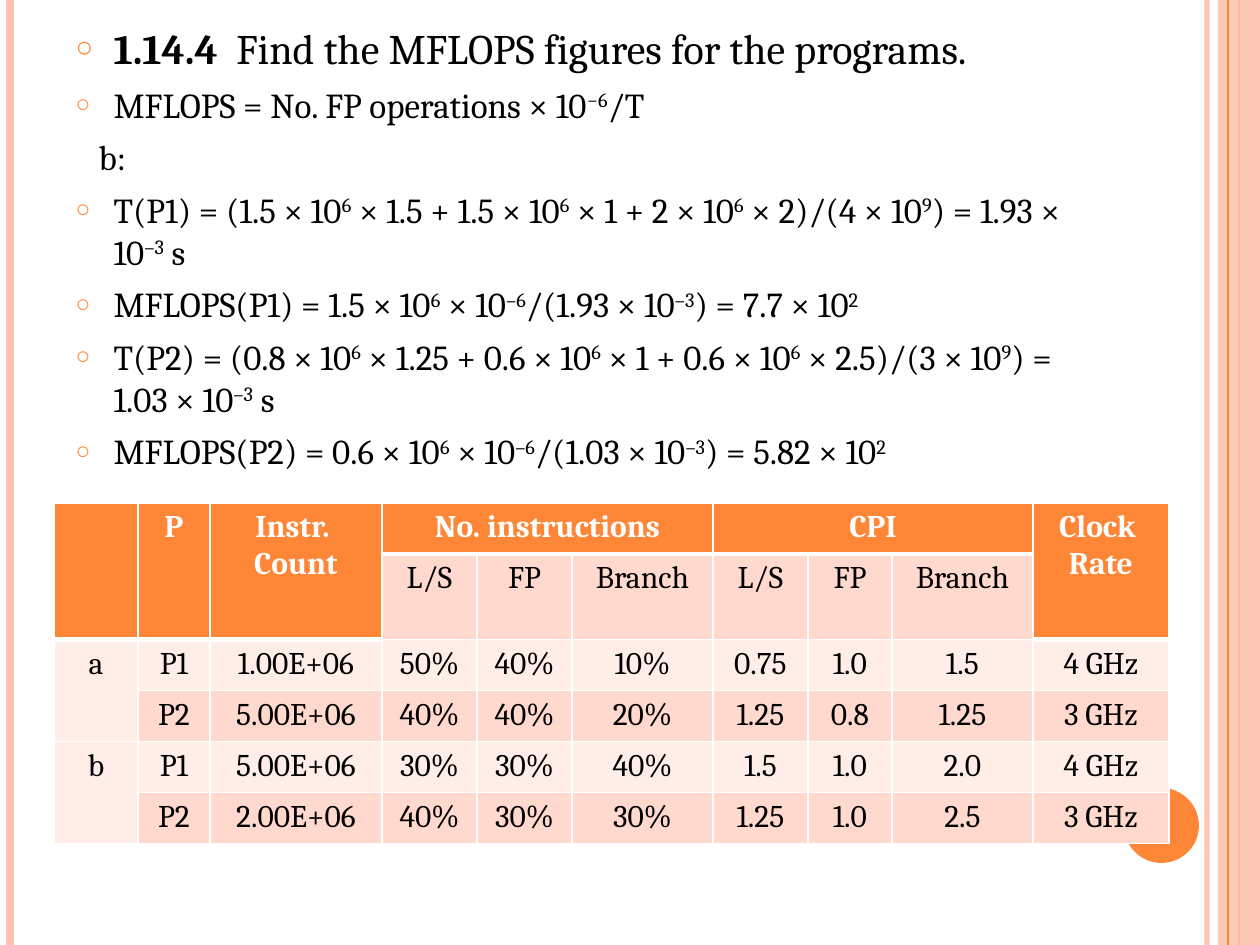
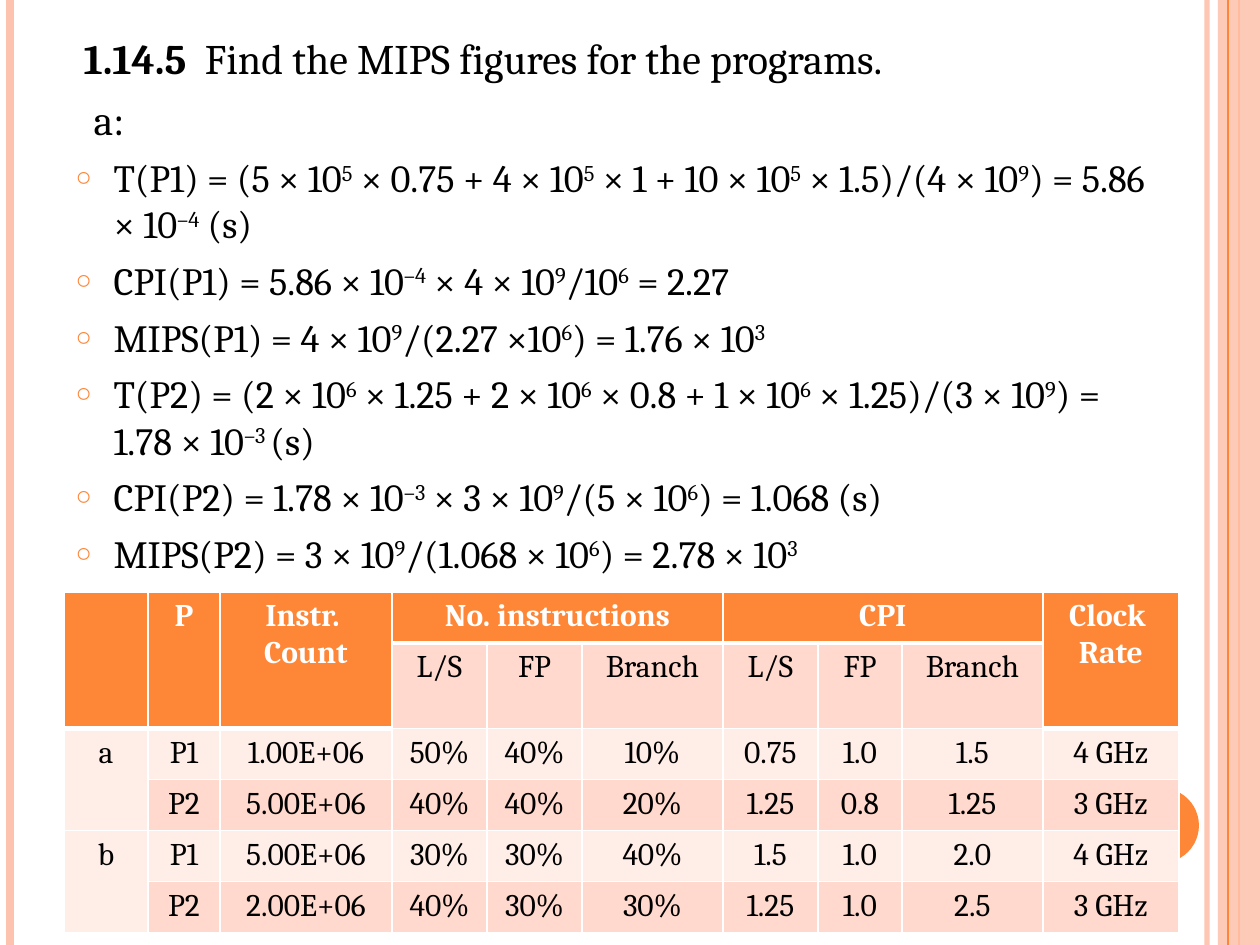
from dataclasses import dataclass

from lxml import etree
from pptx import Presentation
from pptx import util as u
from pptx.dml.color import RGBColor
from pptx.enum import shapes, text
from pptx.oxml import ns

# Shared style
ORANGE = RGBColor(0xFE, 0x86, 0x37)
PEACH = RGBColor(0xFE, 0xC3, 0xAE)
PINK = RGBColor(0xFF, 0xD9, 0xCE)
PALE = RGBColor(0xFF, 0xED, 0xE8)
WHITE = RGBColor(0xFF, 0xFF, 0xFF)
BLACK = RGBColor(0, 0, 0)
FONT = "Cambria"
WIDTH, HEIGHT = 1260, 945
BULLET_INDENT = 38


@dataclass
class Rule:
    """A vertical line over the whole slide height."""
    x: int
    color: RGBColor
    weight: float
    alpha: int = 100


@dataclass
class Para:
    """A paragraph; text between two ^ marks is superscript."""
    text: str
    size: int
    bold_lead: str = ""
    bullet: bool = True
    indent: int = 0


@dataclass
class Page:
    body: tuple[int, int, int, int]
    paras: list[Para]
    table_at: tuple[int, int]


def px(n: float) -> int:
    return round(n * 914400 / 126)


def child(parent, tag: str, **attrs):
    return etree.SubElement(parent, ns.qn(tag), attrs)


def set_alpha(sp, percent: int) -> None:
    clr = next(sp._element.spPr.iter(ns.qn("a:srgbClr")))
    child(clr, "a:alpha", val=str(percent * 1000))


def add_text(p, content: str, *, size: int = 18, bold: bool = False,
             color: RGBColor = BLACK) -> None:
    for i, part in enumerate(content.split("^")):
        if not part:
            continue
        r = p.add_run()
        r.text = part
        r.font.name, r.font.size, r.font.bold = FONT, u.Pt(size), bold
        r.font.color.rgb = color
        if i % 2:
            r._r.get_or_add_rPr().set("baseline", "30000")


# Decoration, kept on the slide master
RULES_BEHIND = [Rule(1207, PEACH, 3, 93), Rule(10, PEACH, 4.5),
                Rule(1239, ORANGE, 1.5)]
RULE_FRONT = Rule(1228, ORANGE, 0.75)


def add_rule(slide, rule: Rule):
    line = slide.shapes.add_connector(shapes.MSO_CONNECTOR.STRAIGHT, px(rule.x), 0,
                                      px(rule.x), px(HEIGHT))
    line.line.color.rgb = rule.color
    line.line.width = u.Pt(rule.weight)
    if rule.alpha < 100:
        set_alpha(line, rule.alpha)
    child(line._element.spPr, "a:effectLst")
    return line


def add_block(slide, kind, box: tuple[int, int, int, int], color: RGBColor):
    sp = slide.shapes.add_shape(kind, *map(px, box))
    sp.shadow.inherit = False
    sp.fill.solid()
    sp.fill.fore_color.rgb = color
    sp.line.fill.background()
    return sp


def decorate_master(prs, slide) -> None:
    parts = [add_rule(slide, rule) for rule in RULES_BEHIND]
    band = add_block(slide, shapes.MSO_SHAPE.RECTANGLE, (1218, 0, 42, HEIGHT), PEACH)
    set_alpha(band, 87)
    parts += [band, add_rule(slide, RULE_FRONT),
              add_block(slide, shapes.MSO_SHAPE.OVAL, (1124, 788, 75, 75), ORANGE)]
    for number, sp in enumerate(parts, 101):
        sp._element._nvXxPr.cNvPr.set("id", str(number))
        prs.slide_master.shapes._spTree.append(sp._element)


# Body text
def fill_body(slide, box: tuple[int, int, int, int], paras: list[Para]) -> None:
    sp = slide.placeholders[1]
    sp.left, sp.top, sp.width, sp.height = map(px, box)
    tf = sp.text_frame
    tf.word_wrap = True
    tf.auto_size = text.MSO_AUTO_SIZE.NONE
    tf.vertical_anchor = text.MSO_ANCHOR.TOP
    for i, para in enumerate(paras):
        p = tf.add_paragraph() if i else tf.paragraphs[0]
        p.space_before = u.Pt(6)
        pPr = p._p.get_or_add_pPr()
        if para.bullet:
            pPr.set("marL", str(px(BULLET_INDENT)))
            pPr.set("indent", str(-px(BULLET_INDENT)))
            child(child(pPr, "a:buClr"), "a:srgbClr", val=str(ORANGE))
            child(pPr, "a:buSzPct", val="70000")
            child(pPr, "a:buChar", char="○")
        else:
            pPr.set("marL", str(px(para.indent)))
            pPr.set("indent", "0")
            child(pPr, "a:buNone")
        add_text(p, para.bold_lead, size=para.size, bold=True)
        add_text(p, para.text, size=para.size)


# Table
COLUMNS = [84, 72, 172, 95, 95, 141, 95, 84, 141, 136]
ROW_HEIGHT = 51
TALL_HEADS = (0, 1, 2, 9)
MERGES = [((0, c), (1, c)) for c in TALL_HEADS] + [
    ((0, 3), (0, 5)), ((0, 6), (0, 8)), ((2, 0), (3, 0)), ((4, 0), (5, 0))]
ROWS = [
    ["", "P", "Instr. \nCount", "No. instructions", "", "", "CPI", "", "", "Clock \nRate"],
    ["", "", "", "L/S", "FP", "Branch", "L/S", "FP", "Branch", ""],
    ["a", "P1", "1.00E+06", "50%", "40%", "10%", "0.75", "1.0", "1.5", "4 GHz"],
    ["", "P2", "5.00E+06", "40%", "40%", "20%", "1.25", "0.8", "1.25", "3 GHz"],
    ["b", "P1", "5.00E+06", "30%", "30%", "40%", "1.5", "1.0", "2.0", "4 GHz"],
    ["", "P2", "2.00E+06", "40%", "30%", "30%", "1.25", "1.0", "2.5", "3 GHz"],
]


def add_borders(cell, bottom: float) -> None:
    tcPr = cell._tc.get_or_add_tcPr()
    for side, weight in (("L", 1), ("R", 1), ("T", 1), ("B", bottom)):
        ln = child(tcPr, f"a:ln{side}", w=str(u.Pt(weight)))
        child(child(ln, "a:solidFill"), "a:srgbClr", val=str(WHITE))


def add_program_table(slide, at: tuple[int, int]) -> None:
    frame = slide.shapes.add_table(len(ROWS), len(COLUMNS), px(at[0]), px(at[1]),
                                   px(sum(COLUMNS)), px(ROW_HEIGHT * len(ROWS)))
    table = frame.table
    for column, width in zip(table.columns, COLUMNS):
        column.width = px(width)
    for row in table.rows:
        row.height = px(ROW_HEIGHT)
    for first, last in MERGES:
        table.cell(*first).merge(table.cell(*last))
    for i, row in enumerate(ROWS):
        for j, content in enumerate(row):
            cell = table.cell(i, j)
            head = i == 0 or (i == 1 and j in TALL_HEADS)
            pale = i > 1 and (j == 0 or i % 2 == 0)
            add_borders(cell, 3 if head else 1)
            cell.fill.solid()
            cell.fill.fore_color.rgb = ORANGE if head else PALE if pale else PINK
            if not content:
                continue
            tf = cell.text_frame
            for k, line in enumerate(content.split("\n")):
                p = tf.add_paragraph() if k else tf.paragraphs[0]
                p.alignment = text.PP_ALIGN.CENTER
                add_text(p, line, bold=head, color=WHITE if head else BLACK)


# Slide contents
PAGES = [
    Page((63, 16, 1053, 876), [
        Para("  Find the MFLOPS figures for the programs.", 24, "1.14.4"),
        Para("MFLOPS = No. FP operations × 10^−6^/T", 20),
        Para("b:", 20, bullet=False, indent=23),
        Para("T(P1) = (1.5 × 10^6^ × 1.5 + 1.5 × 10^6^ × 1 + 2 × 10^6^ × 2)"
             "/(4 × 10^9^) = 1.93 × 10^–3^ s", 20),
        Para("MFLOPS(P1) = 1.5 × 10^6^ × 10^–6^/(1.93 × 10^–3^) = 7.7 × 10^2^", 20),
        Para("T(P2) = (0.8 × 10^6^ × 1.25 + 0.6 × 10^6^ × 1 + 0.6 × 10^6^ × 2.5)"
             "/(3 × 10^9^) = 1.03 × 10^–3^ s", 20),
        Para("MFLOPS(P2) = 0.6 × 10^6^ × 10^–6^/(1.03 × 10^–3^) = 5.82 × 10^2^", 20),
    ], (54, 503)),
    Page((63, 26, 1103, 866), [
        Para("  Find the MIPS figures for the programs.", 24, "1.14.5",
             bullet=False, indent=8),
        Para("a:", 24, bullet=False, indent=18),
        Para("T(P1) = (5 × 10^5^ × 0.75 + 4 × 10^5^ × 1 + 10 × 10^5^ × 1.5)"
             "/(4 × 10^9^) = 5.86 × 10^–4^ (s)", 22),
        Para("CPI(P1) = 5.86 × 10^–4^ × 4 × 10^9^/10^6^ = 2.27", 22),
        Para("MIPS(P1) = 4 × 10^9^/(2.27 ×10^6^) = 1.76 × 10^3^", 22),
        Para("T(P2) = (2 × 10^6^ × 1.25 + 2 × 10^6^ × 0.8 + 1 × 10^6^ × 1.25)"
             "/(3 × 10^9^) = 1.78 × 10^–3 ^(s)", 22),
        Para("CPI(P2) = 1.78 × 10^–3^ × 3 × 10^9^/(5 × 10^6^) = 1.068 (s)", 22),
        Para("MIPS(P2) = 3 × 10^9^/(1.068 × 10^6^) = 2.78 × 10^3^", 22),
    ], (64, 592)),
]

prs = Presentation()
prs.slide_width, prs.slide_height = px(WIDTH), px(HEIGHT)
for index, page in enumerate(PAGES):
    slide = prs.slides.add_slide(prs.slide_layouts[1])
    title = slide.shapes.title._element
    title.getparent().remove(title)
    if index == 0:
        decorate_master(prs, slide)
    fill_body(slide, page.body, page.paras)
    add_program_table(slide, page.table_at)
prs.save("out.pptx")
